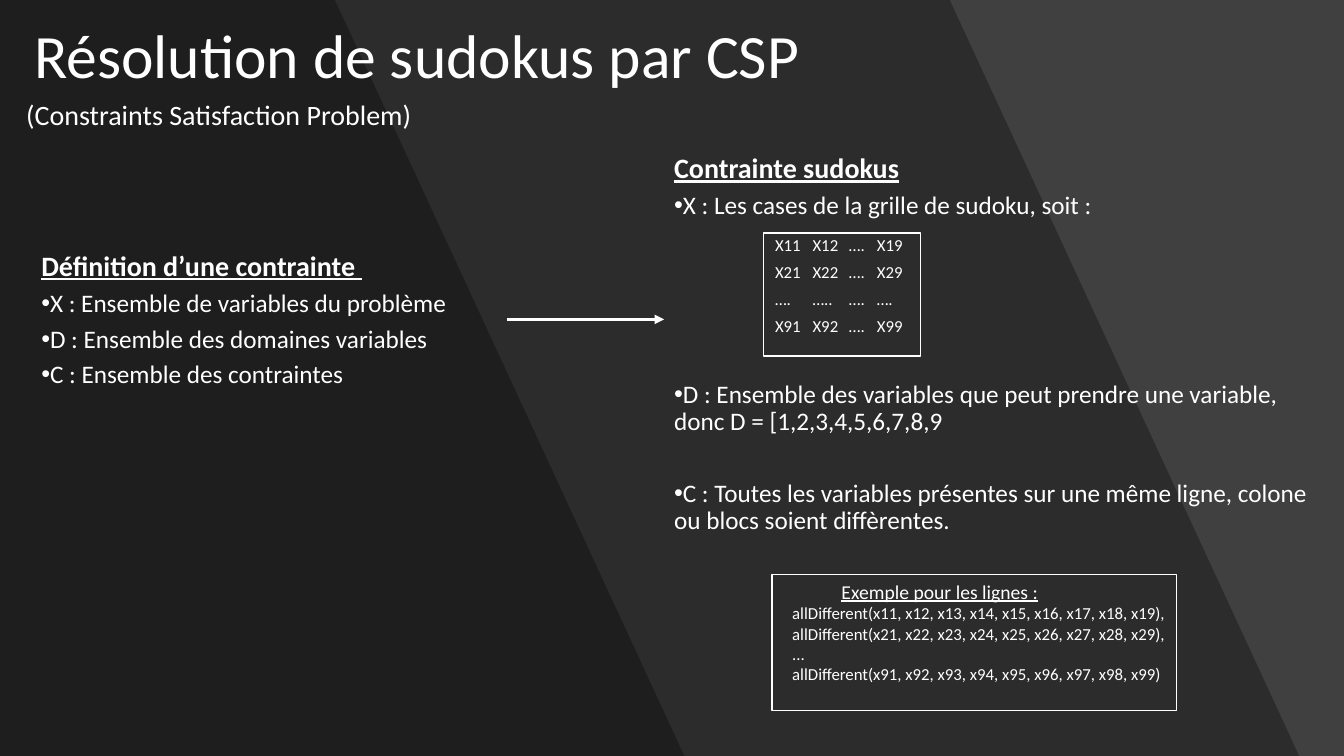
"""Build a slide on solving sudokus as a constraint satisfaction problem."""
from dataclasses import dataclass

from lxml.etree import SubElement
from pptx import Presentation
from pptx.dml.color import RGBColor as Color
from pptx.enum.shapes import MSO_CONNECTOR as Connector, MSO_SHAPE as Shape
from pptx.enum.text import MSO_ANCHOR as Anchor, MSO_AUTO_SIZE as AutoSize
from pptx.oxml.ns import qn
from pptx.slide import Slide
from pptx.text.text import _Paragraph as Paragraph
from pptx.util import Inches, Pt

WIDTH, HEIGHT = Inches(13.33), Inches(7.5)
COLUMNS, ROWS = 24, 12


@dataclass(frozen=True)
class Theme:
    """Colours, font and type sizes of the slide."""
    background: Color = Color(0x40, 0x40, 0x40)
    shade: Color = Color(0, 0, 0)
    ink: Color = Color(0xFF, 0xFF, 0xFF)
    shade_opacity: int = 30
    font: str = "Calibri"
    title: int = 44
    heading: int = 20
    body: int = 18
    caption: int = 14
    small: int = 12


THEME = Theme()


@dataclass(frozen=True)
class Area:
    """A rectangle in grid columns and rows."""
    left: float
    top: float
    width: float
    height: float

    def box(self) -> tuple[int, int, int, int]:
        """Return left, top, width and height as lengths."""
        return across(self.left), down(self.top), across(self.width), down(self.height)


@dataclass(frozen=True)
class Line:
    """A paragraph with its format."""
    text: str
    size: int
    bold: bool = False
    underline: bool = False
    bullet: bool = False
    margin: float = 0
    indent: float = 0
    spacing: float = 0.9
    after: float = 6


@dataclass(frozen=True)
class TextBlock:
    """A text box and its paragraphs."""
    area: Area
    lines: tuple[Line, ...]
    anchor: Anchor = Anchor.MIDDLE
    auto_size: AutoSize = AutoSize.NONE


def across(columns: float) -> int:
    """Turn grid columns into a length."""
    return round(WIDTH * columns / COLUMNS)


def down(rows: float) -> int:
    """Turn grid rows into a length."""
    return round(HEIGHT * rows / ROWS)


def heading(text: str) -> Line:
    """Describe an underlined heading."""
    return Line(text, THEME.heading, bold=True, underline=True)


def bullet(text: str, after: float = 6) -> Line:
    """Describe a bulleted line."""
    return Line(text, THEME.body, bullet=True, indent=-0.45, after=after)


SHADES = ((16.96, 23.2), (5.98, 12.22))
FRAMES = (Area(13.63, 3.7, 2.81, 1.95), Area(13.79, 9.12, 7.22, 2.16))
SUDOKU_AREA = Area(13.84, 3.68, 2.44, 1.72)
SUDOKU_WIDTHS = (0.67, 0.65, 0.5, 0.62)
SUDOKU_CELLS = (
    ("X11", "X12", "….", "X19"),
    ("X21", "X22", "….", "X29"),
    ("….", "…..", "….", "…."),
    ("X91", "X92", "….", "X99"),
)
PLAIN_TABLE = "{2D5ABB26-0587-4C30-8999-92F81FD0307C}"
TEXTS = (
    TextBlock(Area(0.43, -1.31, 17.71, 4.48),
              (Line("Résolution de sudokus par CSP", THEME.title),)),
    TextBlock(Area(0.56, 0, 11.81, 10.18), (
        heading("Définition d’une contrainte "),
        bullet("X : Ensemble de variables du problème"),
        bullet("D : Ensemble des domaines variables"),
        bullet("C : Ensemble des contraintes"))),
    TextBlock(Area(0.29, 0.03, 7.25, 3.62),
              (Line("(Constraints Satisfaction Problem)", THEME.heading),)),
    TextBlock(Area(11.86, 0.38, 11.81, 10.18), (
        heading("Contrainte sudokus"),
        bullet("X : Les cases de la grille de sudoku, soit :", after=115),
        bullet("D : Ensemble des variables que peut prendre une variable, "
               "donc D = [1,2,3,4,5,6,7,8,9", after=32),
        bullet("C : Toutes les variables présentes sur une même ligne, "
               "colone ou blocs soient diffèrentes."))),
    TextBlock(Area(13.09, 9.12, 12.01, 1.82), (
        Line("Exemple pour les lignes :", THEME.caption, underline=True,
             margin=0.88, indent=0.88, spacing=1, after=0),
        Line("allDifferent(x11, x12, x13, x14, x15, x16, x17, x18, x19),\v"
             "allDifferent(x21, x22, x23, x24, x25, x26, x27, x28, x29),\v"
             "...\v"
             "allDifferent(x91, x92, x93, x94, x95, x96, x97, x98, x99)",
             THEME.small, margin=0.88, spacing=1, after=0)),
        Anchor.TOP, AutoSize.SHAPE_TO_FIT_TEXT),
)


def add_shade(slide: Slide, top_right: float, bottom_right: float) -> None:
    """Draw a translucent panel with a slanted right edge."""
    builder = slide.shapes.build_freeform(0, 0)
    builder.add_line_segments([(across(top_right), 0), (across(bottom_right), HEIGHT),
                               (0, HEIGHT)], close=True)
    panel = builder.convert_to_shape()
    panel.shadow.inherit = False
    panel.line.fill.background()
    panel.fill.solid()
    panel.fill.fore_color.rgb = THEME.shade
    color = panel.fill._xPr.find(qn("a:solidFill")).find(qn("a:srgbClr"))
    SubElement(color, qn("a:alpha"), val=str(THEME.shade_opacity * 1000))


def add_frame(slide: Slide, area: Area) -> None:
    """Draw an outlined rectangle."""
    frame = slide.shapes.add_shape(Shape.RECTANGLE, *area.box())
    frame.shadow.inherit = False
    frame.fill.background()
    frame.line.color.rgb = THEME.ink
    frame.line.width = Pt(1)


def add_arrow(slide: Slide, start: float, end: float, row: float) -> None:
    """Draw a horizontal arrow."""
    arrow = slide.shapes.add_connector(Connector.STRAIGHT, across(start), down(row),
                                       across(end), down(row))
    arrow.line.color.rgb = THEME.ink
    arrow.line.width = Pt(2.25)
    SubElement(arrow.line._get_or_add_ln(), qn("a:tailEnd"), type="triangle")
    SubElement(arrow._element.spPr, qn("a:effectLst"))


def write_line(para: Paragraph, line: Line) -> None:
    """Fill a paragraph and format its runs."""
    para.text = line.text
    para.line_spacing = line.spacing
    para.space_after = Pt(line.after)
    props = para._p.get_or_add_pPr()
    props.set("marL", str(across(line.margin)))
    props.set("indent", str(across(line.indent)))
    if line.bullet:
        SubElement(props, qn("a:buFont"), typeface="Arial")
        SubElement(props, qn("a:buChar"), char="•")
    for span in para.runs:
        span.font.name = THEME.font
        span.font.size = Pt(line.size)
        span.font.bold = line.bold
        span.font.underline = line.underline
        span.font.color.rgb = THEME.ink


def add_text(slide: Slide, block: TextBlock) -> None:
    """Draw a text box with its paragraphs."""
    frame = slide.shapes.add_textbox(*block.area.box()).text_frame
    frame.word_wrap = True
    frame.auto_size = block.auto_size
    frame.vertical_anchor = block.anchor
    for index, line in enumerate(block.lines):
        write_line(frame.add_paragraph() if index else frame.paragraphs[0], line)


def add_sudoku(slide: Slide) -> None:
    """Draw the sudoku cells as a table without fill or borders."""
    holder = slide.shapes.add_table(len(SUDOKU_CELLS), len(SUDOKU_WIDTHS), *SUDOKU_AREA.box())
    table = holder.table
    table.first_row = table.horz_banding = False
    table._tbl.tblPr.find(qn("a:tableStyleId")).text = PLAIN_TABLE
    for column, width in zip(table.columns, SUDOKU_WIDTHS):
        column.width = across(width)
    for row, names in zip(table.rows, SUDOKU_CELLS):
        for cell, name in zip(row.cells, names):
            cell.margin_left = cell.margin_right = cell.margin_top = cell.margin_bottom = 0
            cell.vertical_anchor = Anchor.MIDDLE
            for side in ("a:lnL", "a:lnR", "a:lnT", "a:lnB"):
                SubElement(SubElement(cell._tc.tcPr, qn(side)), qn("a:noFill"))
            cell.fill.background()
            write_line(cell.text_frame.paragraphs[0],
                       Line(name, THEME.small, spacing=1, after=0))


def main() -> None:
    """Build and save the deck."""
    deck = Presentation()
    deck.slide_width, deck.slide_height = WIDTH, HEIGHT
    page = deck.slides.add_slide(deck.slide_layouts[6])
    page.background.fill.solid()
    page.background.fill.fore_color.rgb = THEME.background
    for top_right, bottom_right in SHADES:
        add_shade(page, top_right, bottom_right)
    for block in TEXTS:
        add_text(page, block)
    add_arrow(page, 9.05, 11.86, 5.07)
    for area in FRAMES:
        add_frame(page, area)
    add_sudoku(page)
    deck.save("out.pptx")


if __name__ == "__main__":
    main()
